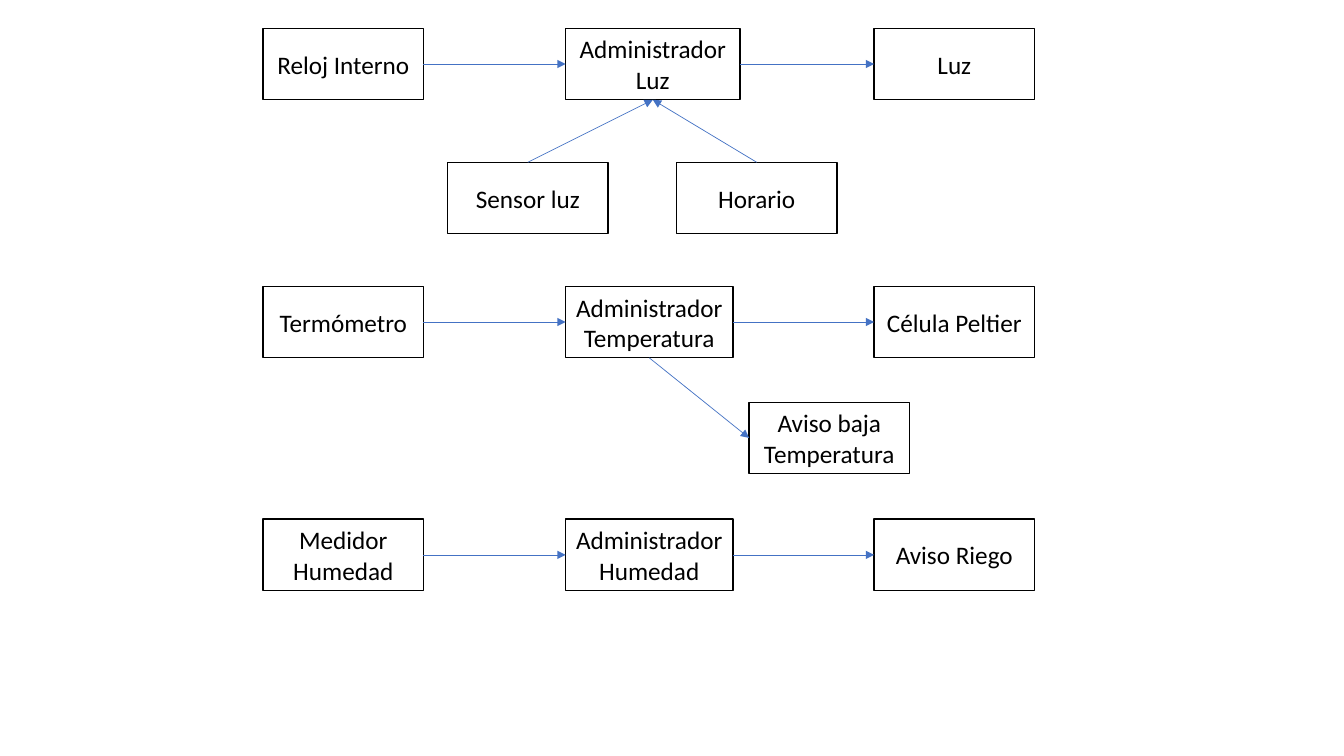
from lxml.etree import SubElement
from pptx import Presentation
from pptx.dml.color import RGBColor
from pptx.enum.shapes import MSO_CONNECTOR, MSO_SHAPE
from pptx.enum.text import MSO_ANCHOR, PP_ALIGN
from pptx.oxml.ns import qn
from pptx.util import Inches, Pt

COLORS = {"paper": "FFFFFF", "ink": "000000", "arrow": "4472C4"}
TOP, LEFT, BOTTOM, RIGHT = range(4)
BOX_WIDTH, BOX_HEIGHT = 1.59, 0.71
INPUT_X, MANAGER_X, OUTPUT_X = 2.61, 5.61, 8.67
FLOWS = [
    (0.28, 1.73, "Reloj Interno", "Administrador Luz", "Luz"),
    (2.84, 1.66, "Termómetro", "Administrador Temperatura", "Célula Peltier"),
    (5.15, 1.66, "Medidor Humedad", "Administrador Humedad", "Aviso Riego"),
]


def color(name):
    """Return the palette colour with this name."""
    return RGBColor.from_string(COLORS[name])


def write_text(shape, text, *, size=18, font="Calibri", ink="ink", align=PP_ALIGN.CENTER):
    """Write one formatted paragraph, centred vertically, into a shape."""
    frame = shape.text_frame
    frame.word_wrap = True
    frame.vertical_anchor = MSO_ANCHOR.MIDDLE
    frame.margin_left = frame.margin_right = Inches(0.08)
    paragraph = frame.paragraphs[0]
    paragraph.alignment = align
    run = paragraph.add_run()
    run.text = text
    run.font.size = Pt(size)
    run.font.name = font
    run.font.color.rgb = color(ink)


def add_box(slide, text, x, y, width=BOX_WIDTH):
    """Add a labelled component box and return it."""
    box = slide.shapes.add_shape(
        MSO_SHAPE.RECTANGLE, Inches(x), Inches(y), Inches(width), Inches(BOX_HEIGHT)
    )
    box.shadow.inherit = False
    box.fill.solid()
    box.fill.fore_color.rgb = color("paper")
    box.line.color.rgb = color("ink")
    box.line.width = Pt(1)
    write_text(box, text)
    return box


def add_arrow(slide, source, source_side, target, target_side):
    """Join two boxes with an arrow pointing at the target."""
    arrow = slide.shapes.add_connector(MSO_CONNECTOR.STRAIGHT, 0, 0, 0, 0)
    arrow.begin_connect(source, source_side)
    arrow.end_connect(target, target_side)
    arrow.line.color.rgb = color("arrow")
    arrow.line.width = Pt(0.5)
    properties = arrow._element.spPr
    SubElement(properties.find(qn("a:ln")), qn("a:tailEnd"), type="triangle")
    SubElement(properties, qn("a:effectLst"))


def add_flow(slide, y, manager_width, input_text, manager_text, output_text):
    """Add a row from input through manager to output and return the manager."""
    source = add_box(slide, input_text, INPUT_X, y)
    manager = add_box(slide, manager_text, MANAGER_X, y, manager_width)
    output = add_box(slide, output_text, OUTPUT_X, y)
    add_arrow(slide, source, RIGHT, manager, LEFT)
    add_arrow(slide, manager, RIGHT, output, LEFT)
    return manager


def main():
    """Build the control diagram and save it."""
    deck = Presentation()
    deck.slide_width, deck.slide_height = Inches(13.33), Inches(7.5)
    slide = deck.slides.add_slide(deck.slide_layouts[6])
    light, temperature, _ = [add_flow(slide, *flow) for flow in FLOWS]
    for text, x in (("Horario", 6.71), ("Sensor luz", 4.44)):
        add_arrow(slide, add_box(slide, text, x, 1.61), TOP, light, BOTTOM)
    warning = add_box(slide, "Aviso baja Temperatura", 7.43, 3.99)
    add_arrow(slide, temperature, BOTTOM, warning, LEFT)
    deck.save("out.pptx")


if __name__ == "__main__":
    main()
